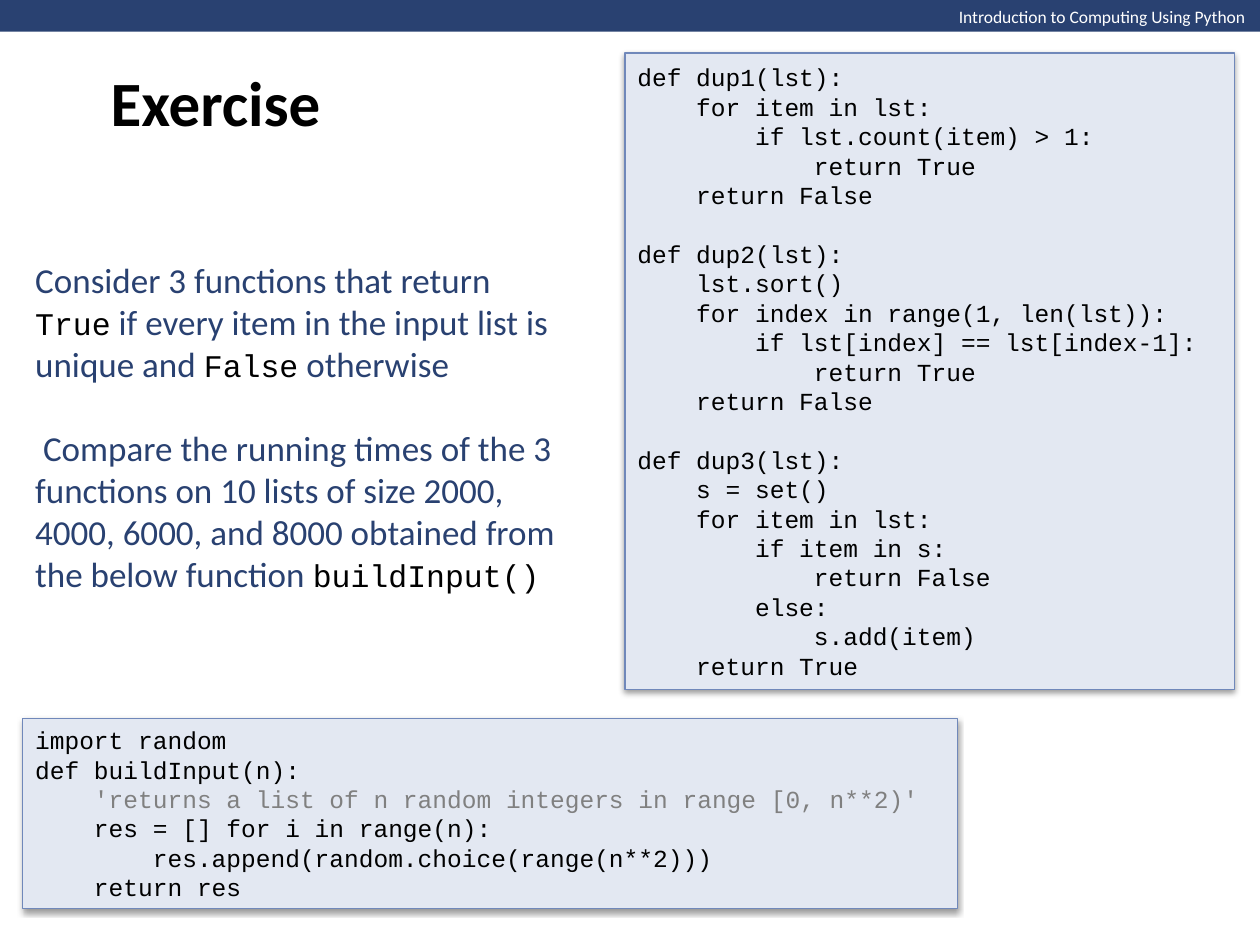
"""Build the exercise slide comparing three duplicate-finding functions."""
from lxml import etree
from pptx import Presentation
from pptx import util as u
from pptx.dml.color import RGBColor
from pptx.enum import shapes, text
from pptx.oxml.ns import qn

NAVY, BLACK, WHITE, GREY = "294171", "000000", "FFFFFF", "808080"
BODY = ("Calibri", 20, NAVY)
INLINE_CODE = ("Courier New", 18, BLACK)


def paint(color_format, color):
    color_format.rgb = RGBColor.from_string(color)


def write(shape, paragraphs, anchor=text.MSO_ANCHOR.MIDDLE, wrap=True):
    frame = shape.text_frame
    frame.word_wrap = wrap
    frame.vertical_anchor = anchor
    for index, runs in enumerate(paragraphs):
        paragraph = frame.paragraphs[0] if index == 0 else frame.add_paragraph()
        paragraph.alignment = text.PP_ALIGN.LEFT
        for wording, (font_name, size, color) in runs:
            run = paragraph.add_run()
            run.text = wording
            run.font.name = font_name
            run.font.size = u.Pt(size)
            paint(run.font.color, color)
    return frame.paragraphs


presentation = Presentation()
presentation.slide_width, presentation.slide_height = u.Cm(25.4), u.Cm(19.05)
slide = presentation.slides.add_slide(presentation.slide_layouts[6])

banner = slide.shapes.add_shape(
    shapes.MSO_SHAPE.RECTANGLE, 0, 0, u.Cm(25.42), u.Cm(0.64))
banner.shadow.inherit = False
banner.fill.solid()
paint(banner.fill.fore_color, NAVY)
banner.line.fill.background()

course = slide.shapes.add_textbox(u.Cm(19.08), 0, u.Cm(6.35), u.Cm(0.69))
write(course, [[("Introduction to Computing Using Python", ("Calibri", 10, WHITE))]],
      text.MSO_ANCHOR.TOP, wrap=False)

title = slide.shapes.add_textbox(u.Cm(1.98), 0, u.Cm(22.91), u.Cm(4.09))
title_paragraph = write(title, [[("Exercise", ("Calibri", 36, BLACK))]])[0]
title_paragraph.runs[0].font.bold = True

task = slide.shapes.add_textbox(u.Cm(0.46), u.Cm(5.05), u.Cm(11.23), u.Cm(7.09))
task_paragraphs = write(task, [
    [("Consider 3 functions that return ", BODY), ("True", INLINE_CODE),
     (" if every item in the input list is unique and ", BODY),
     ("False", INLINE_CODE), (" otherwise", BODY)],
    [(" Compare the running times of the 3 functions on 10 lists of size "
      "2000, 4000, 6000, and 8000 obtained from", BODY)],
    [("the below function ", BODY), ("buildInput()", INLINE_CODE)],
])
task_paragraphs[1].space_before = u.Pt(24)

duplicate_code = """def dup1(lst):
    for item in lst:
        if lst.count(item) > 1:
            return True
    return False
def dup2(lst):
    lst.sort()
    for index in range(1, len(lst)):
        if lst[index] == lst[index-1]:
            return True
    return False
def dup3(lst):
    s = set()
    for item in lst:
        if item in s:
            return False
        else:
            s.add(item)
    return True"""
input_code = """import random
def buildInput(n):
    'returns a list of n random integers in range [0, n**2)'
    res = [] for i in range(n):
        res.append(random.choice(range(n**2)))
    return res"""

code_boxes = [
    (12.6, 1.07, 12.29, 12.83, duplicate_code),
    (0.46, 14.48, 18.85, 3.84, input_code),
]
for left, top, width, height, code in code_boxes:
    box = slide.shapes.add_shape(
        shapes.MSO_SHAPE.RECTANGLE, u.Cm(left), u.Cm(top), u.Cm(width), u.Cm(height))
    box.fill.solid()
    paint(box.fill.fore_color, "E3E8F2")
    paint(box.line.color, "7088BA")
    box.line.width = u.Pt(0.75)
    box.shadow.inherit = False
    effects = box.element.spPr.find(qn("a:effectLst"))
    shadow = etree.SubElement(
        effects, qn("a:outerShdw"), blurRad=str(u.Pt(3.1)), dist=str(u.Pt(1.6)),
        dir="5400000", rotWithShape="0")
    shadow_color = etree.SubElement(shadow, qn("a:srgbClr"), val=BLACK)
    etree.SubElement(shadow_color, qn("a:alpha"), val="38000")
    lines = code.splitlines()
    paragraphs = write(box, [
        [(line, ("Courier New", 14, GREY if line.strip().startswith("'") else BLACK))]
        for line in lines])
    for previous, line, paragraph in zip(lines, lines[1:], paragraphs[1:]):
        if line.startswith("def") and previous.startswith(" "):
            paragraph.space_before = u.Pt(16.8)

presentation.save("out.pptx")
